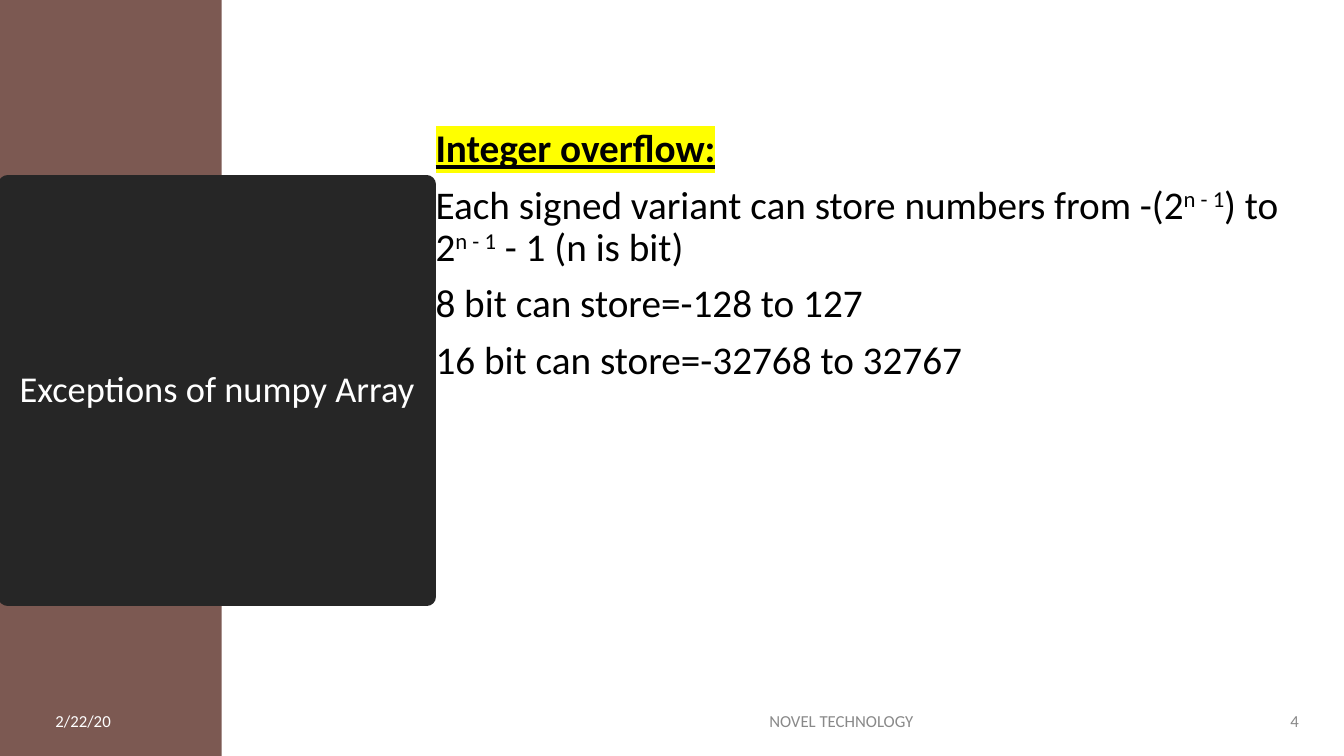
import pptx
import pptx.dml.color
import pptx.enum.shapes
import pptx.enum.text
import pptx.oxml
import pptx.oxml.ns
import pptx.util
from pptx.util import Inches

FONT = "Calibri"
COLORS = {
    "band": "7C5952",
    "panel": "262626",
    "light": "FFFFFF",
    "body": "000000",
    "footer": "898989",
    "highlight": "FFFF00",
}
ALIGN = pptx.enum.text.PP_ALIGN
TITLE = "Exceptions of numpy Array"
# Each paragraph is a list of (text, style) runs.
BODY = [
    [("Integer overflow:", "heading")],
    [
        ("Each signed variant can store numbers from -(2", "plain"),
        ("n - 1", "superscript"),
        (") to 2", "plain"),
        ("n - 1", "superscript"),
        (" - 1 (n is bit)", "plain"),
    ],
    [("8 bit can store=-128 to 127", "plain")],
    [("16 bit can store=-32768 to 32767", "plain")],
]
# Text, left, width, alignment, colour
FOOTERS = [
    ("2/22/20", 0.45, 1.62, ALIGN.LEFT, "light"),
    ("NOVEL TECHNOLOGY", 4.5, 7.69, ALIGN.CENTER, "footer"),
    ("4", 12.37, 0.61, ALIGN.RIGHT, "footer"),
]


def rgb(name):
    return pptx.dml.color.RGBColor.from_string(COLORS[name])


def place(shape, left, top, width, height):
    shape.left, shape.top = Inches(left), Inches(top)
    shape.width, shape.height = Inches(width), Inches(height)


def set_frame(shape, anchor):
    frame = shape.text_frame
    frame.word_wrap = True
    frame.auto_size = pptx.enum.text.MSO_AUTO_SIZE.NONE
    frame.vertical_anchor = anchor
    return frame


def set_font(paragraph, size, color):
    paragraph.font.name = FONT
    paragraph.font.size = pptx.util.Pt(size)
    paragraph.font.color.rgb = rgb(color)


def style_run(run, style):
    properties = run.font._element
    if style == "heading":
        run.font.bold = True
        run.font.underline = True
        namespace = pptx.oxml.ns.nsdecls("a")
        properties.append(pptx.oxml.parse_xml(
            f'<a:highlight {namespace}><a:srgbClr val="{COLORS["highlight"]}"/></a:highlight>'))
    elif style == "superscript":
        properties.set("baseline", "30000")


def remove_bullet(paragraph):
    properties = paragraph._p.get_or_add_pPr()
    properties.set("marL", "0")
    properties.set("indent", "0")
    properties.append(pptx.oxml.parse_xml(f'<a:buNone {pptx.oxml.ns.nsdecls("a")}/>'))


def add_title(slide):
    title = slide.shapes.title
    place(title, 0.08, 1.83, 4.15, 4.09)
    title.fill.solid()
    title.fill.fore_color.rgb = rgb("panel")
    title.line.color.rgb = rgb("panel")
    title.line.width = pptx.util.Pt(13.75)
    frame = set_frame(title, pptx.enum.text.MSO_ANCHOR.MIDDLE)
    frame.margin_left = frame.margin_right = Inches(0.05)
    paragraph = frame.paragraphs[0]
    paragraph.text = TITLE
    paragraph.alignment = ALIGN.CENTER
    paragraph.line_spacing = 0.9
    set_font(paragraph, 26, "light")


def add_band(slide):
    """Add the left colour band behind the title panel."""
    band = slide.shapes.add_shape(
        pptx.enum.shapes.MSO_SHAPE.RECTANGLE, 0, 0, Inches(2.2), Inches(7.5))
    band.shadow.inherit = False
    band.fill.solid()
    band.fill.fore_color.rgb = rgb("band")
    band.line.fill.background()
    slide.shapes.title._element.addprevious(band._element)


def add_body(slide):
    body = slide.placeholders[1]
    place(body, 4.22, 1.23, 8.76, 4.46)
    frame = set_frame(body, pptx.enum.text.MSO_ANCHOR.TOP)
    for index, runs in enumerate(BODY):
        paragraph = frame.add_paragraph() if index else frame.paragraphs[0]
        remove_bullet(paragraph)
        paragraph.line_spacing = 0.9
        paragraph.space_before = pptx.util.Pt(10 if index else 0)
        set_font(paragraph, 28, "body")
        for text, style in runs:
            run = paragraph.add_run()
            run.text = text
            style_run(run, style)


def add_footers(slide):
    for text, left, width, alignment, color in FOOTERS:
        box = slide.shapes.add_textbox(
            Inches(left), Inches(6.95), Inches(width), Inches(0.4))
        frame = set_frame(box, pptx.enum.text.MSO_ANCHOR.MIDDLE)
        paragraph = frame.paragraphs[0]
        paragraph.text = text
        paragraph.alignment = alignment
        paragraph.space_after = pptx.util.Pt(6)
        set_font(paragraph, 12, color)


def main():
    presentation = pptx.Presentation()
    presentation.slide_width = Inches(13.33)
    presentation.slide_height = Inches(7.5)
    slide = presentation.slides.add_slide(presentation.slide_layouts[1])
    slide.background.fill.solid()
    slide.background.fill.fore_color.rgb = rgb("light")
    add_title(slide)
    add_band(slide)
    add_body(slide)
    add_footers(slide)
    presentation.save("out.pptx")


if __name__ == "__main__":
    main()
